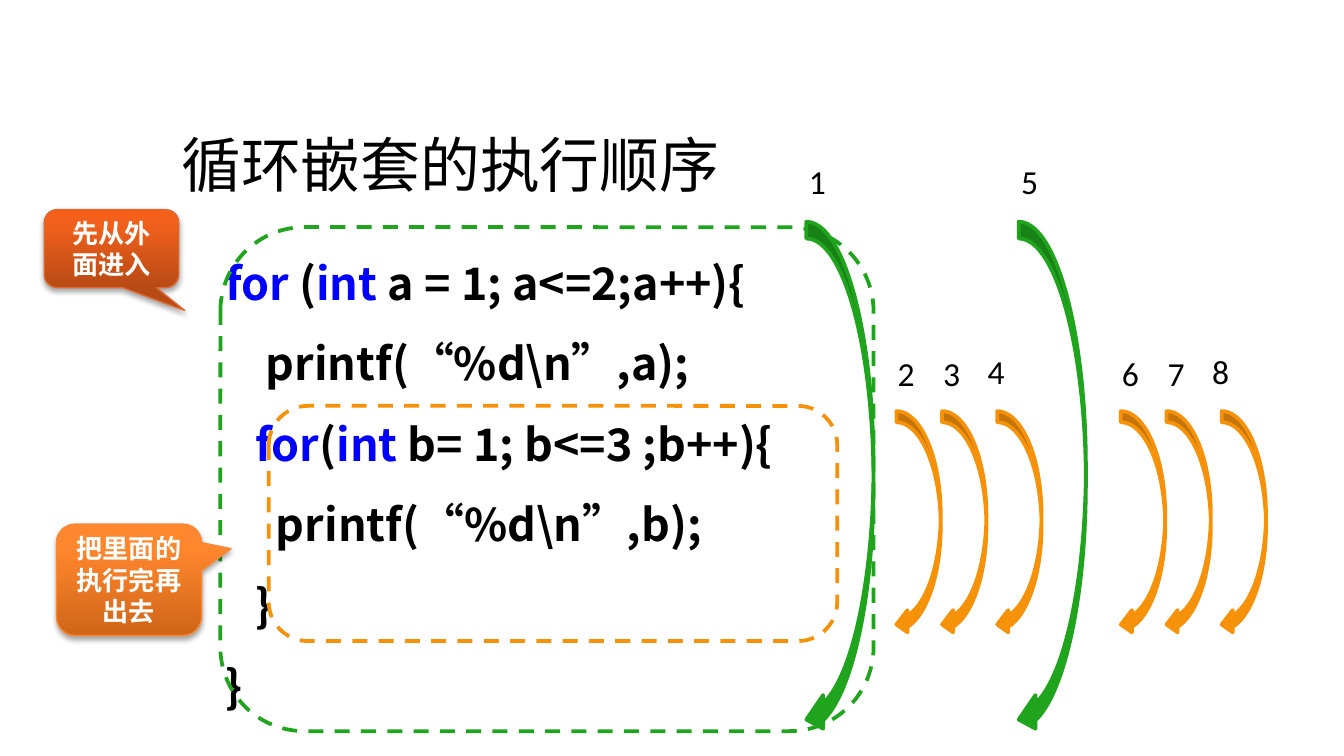
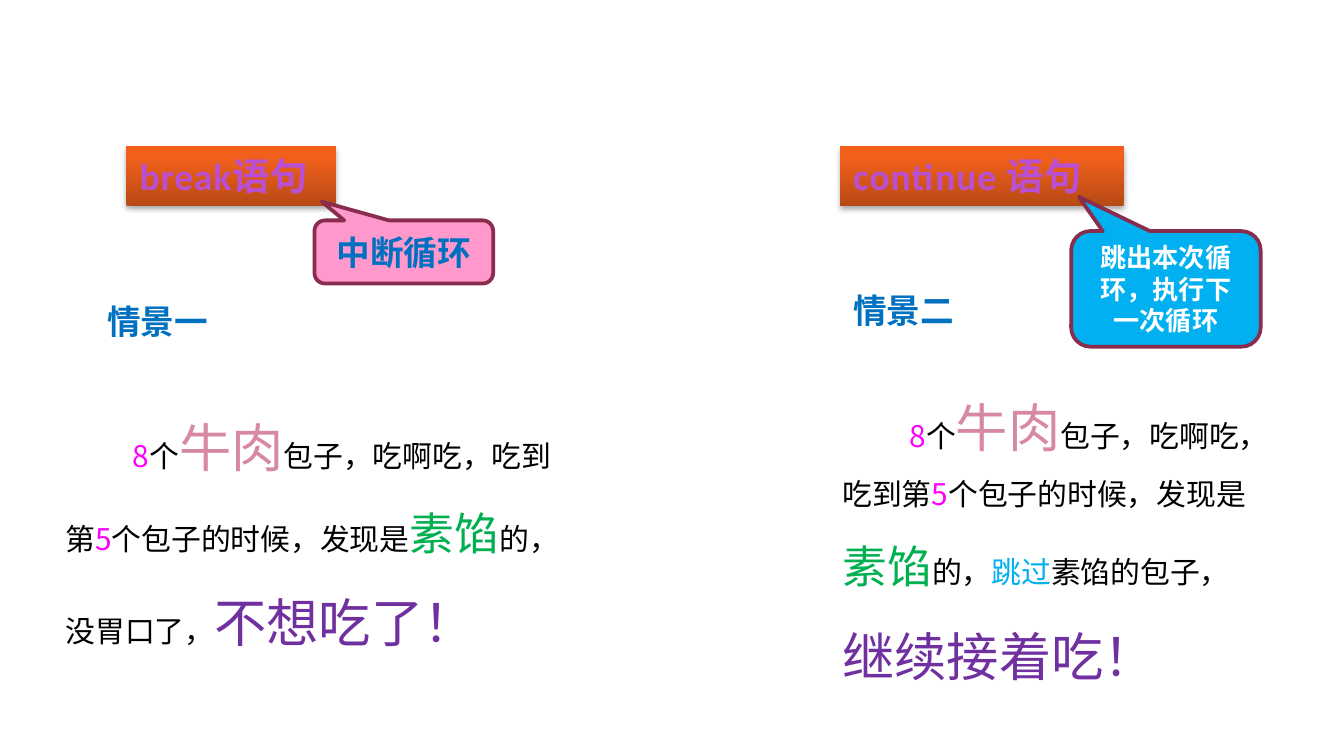
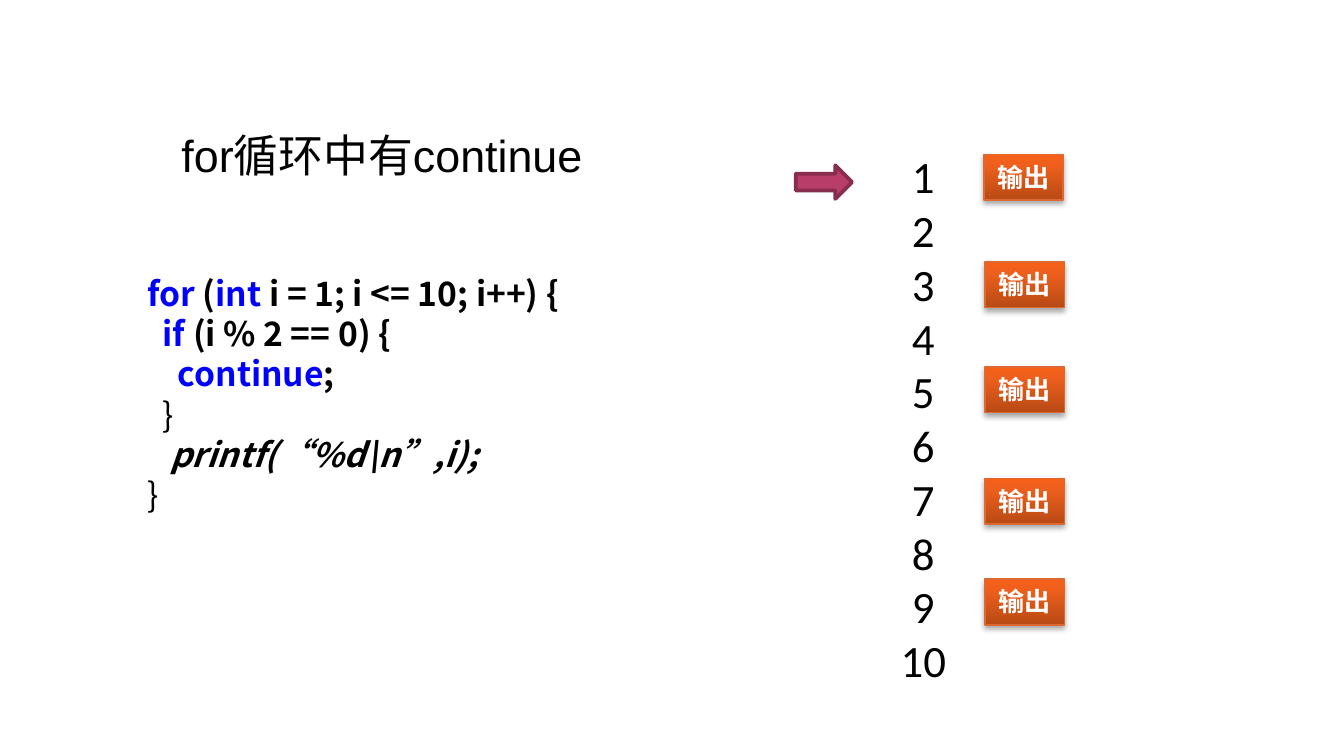
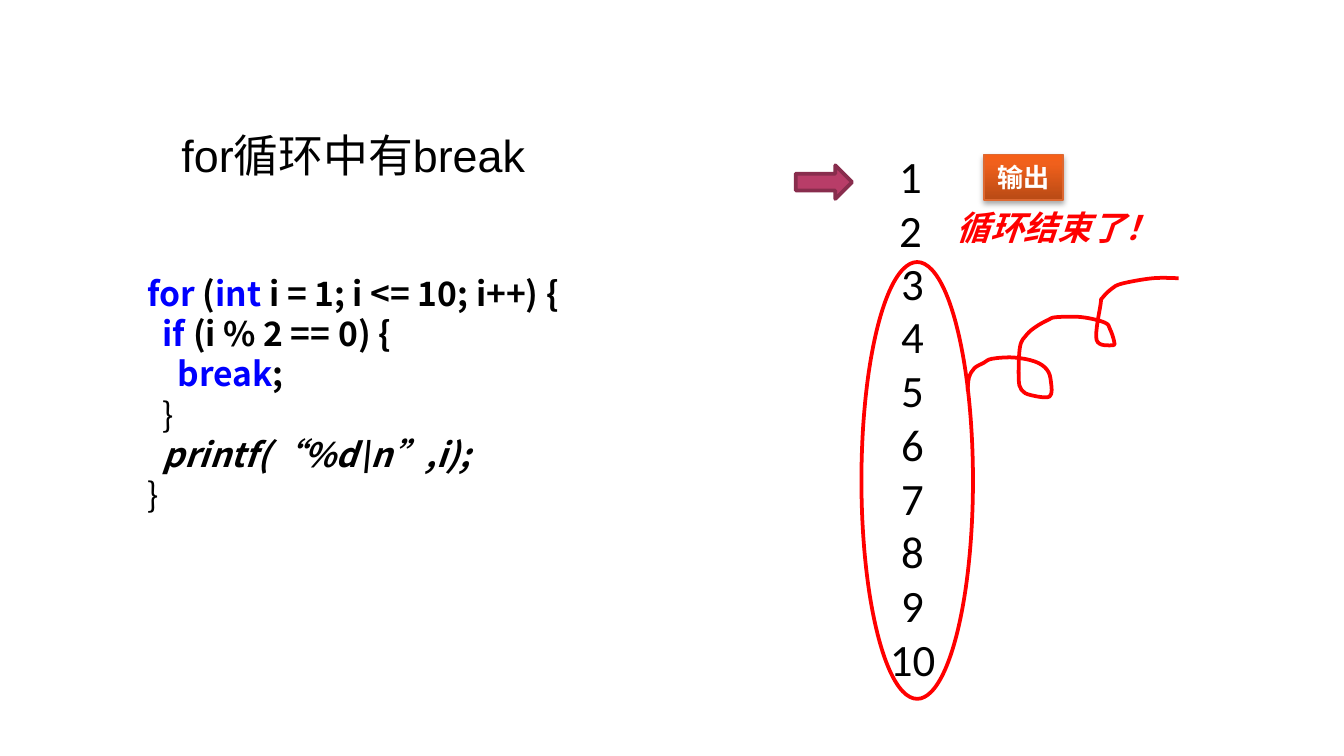
from copy import deepcopy

from lxml import etree
from pptx import Presentation
from pptx.dml.color import RGBColor
from pptx.enum.dml import MSO_LINE
from pptx.enum.shapes import MSO_SHAPE
from pptx.enum.text import MSO_ANCHOR, MSO_AUTO_SIZE, PP_ALIGN
from pptx.oxml.ns import qn
from pptx.util import Emu, Inches, Pt

# Slide grid: ten square columns across the slide
SLIDE_WIDTH, SLIDE_HEIGHT = Inches(10), Inches(5.625)
CELL = SLIDE_WIDTH // 10
TITLE_ONLY, BLANK = 5, 6

# Enum members
LEFT, CENTER = PP_ALIGN.LEFT, PP_ALIGN.CENTER
TOP, MIDDLE = MSO_ANCHOR.TOP, MSO_ANCHOR.MIDDLE
FIT_SHAPE, NO_FIT = MSO_AUTO_SIZE.SHAPE_TO_FIT_TEXT, MSO_AUTO_SIZE.NONE
DASH = MSO_LINE.DASH
RECTANGLE, ROUNDED = MSO_SHAPE.RECTANGLE, MSO_SHAPE.ROUNDED_RECTANGLE
CALLOUT = MSO_SHAPE.ROUNDED_RECTANGULAR_CALLOUT
LOOP_ARROW, RIGHT_ARROW = MSO_SHAPE.CURVED_LEFT_ARROW, MSO_SHAPE.RIGHT_ARROW
OVAL = MSO_SHAPE.OVAL

# Fonts
LATIN, TITLE_FONT = "Calibri", "Arial"
CJK, HEADING_FONT = "Noto Sans CJK SC", "Noto Sans CJK JP"

# Colours
BLACK = RGBColor(0x00, 0x00, 0x00)
WHITE = RGBColor(0xFF, 0xFF, 0xFF)
KEYWORD_BLUE = RGBColor(0x00, 0x00, 0xFF)
OUTER_GREEN = RGBColor(0x20, 0xA3, 0x1D)
INNER_ORANGE = RGBColor(0xF6, 0x91, 0x0A)
BADGE_EDGE = RGBColor(0xDD, 0x68, 0x31)
ORANGE_EDGE = RGBColor(0xF9, 0x89, 0x37)
HEADING_BLUE = RGBColor(0x00, 0x70, 0xC0)
SKY = RGBColor(0x00, 0xB0, 0xF0)
PINK = RGBColor(0xFF, 0x99, 0xCC)
MAGENTA = RGBColor(0xFF, 0x00, 0xFF)
BEEF = RGBColor(0xD7, 0x88, 0xA3)
VEGETABLE = RGBColor(0x00, 0xB0, 0x50)
PURPLE = RGBColor(0x70, 0x30, 0xA0)
POINTER = RGBColor(0xB8, 0x3D, 0x68)
WINE = RGBColor(0x88, 0x2D, 0x4D)
RED = RGBColor(0xFF, 0x00, 0x00)

# Gradients: (position in percent, colour) stops and a clockwise angle
RED_ORANGE = ([(0, RGBColor(0xB8, 0x4A, 0x15)), (80, RGBColor(0xF0, 0x60, 0x1C)),
               (100, RGBColor(0xF5, 0x5F, 0x18))], 270)
BRIGHT_ORANGE = ([(0, RGBColor(0xD0, 0x66, 0x18)), (80, RGBColor(0xFF, 0x87, 0x2E)),
                  (100, RGBColor(0xFF, 0x87, 0x30))], 270)
VIOLET = ([(25, RGBColor(0xBB, 0x4F, 0xD2)), (100, RGBColor(0x86, 0x35, 0x98))], 90)

# Span formats
KEYWORD = {"color": KEYWORD_BLUE}
COUNT = {"color": MAGENTA}
LARGE_BEEF = {"color": BEEF, "size": 28}
LARGE_VEGETABLE = {"color": VEGETABLE, "size": 24}
OUTCOME = {"color": PURPLE, "size": 28}
PLAIN = {"bold": False}
ITALIC = {"italic": True}


def grid(*lengths):
    return [Emu(round(length * CELL)) for length in lengths]


def paint(fill, paint_value):
    """Fill with nothing, a colour, or a (stops, angle) gradient."""
    if paint_value is None:
        fill.background()
    elif isinstance(paint_value, RGBColor):
        fill.solid()
        fill.fore_color.rgb = paint_value
    else:
        stops, angle = paint_value
        fill.gradient()
        fill.gradient_angle = 360 - angle
        first = fill.gradient_stops[0]._gs
        for _ in stops[2:]:
            first.addnext(deepcopy(first))
        for stop, (position, color) in zip(fill.gradient_stops, stops):
            stop.position = position / 100
            stop.color.rgb = color


def format_span(span, font=LATIN, size=18, color=BLACK, bold=False, italic=False, spacing=0):
    span.font.name = font
    span.font.size = Pt(size)
    span.font.bold, span.font.italic = bold, italic
    paint(span.font.fill, color)
    properties = span._r.get_or_add_rPr()
    if spacing:
        properties.set("spc", str(round(spacing * 100)))
    etree.SubElement(properties, qn("a:ea")).set("typeface", font)


def write(frame, paras, align=LEFT, anchor=TOP, wrap=True, fit=FIT_SHAPE,
          line_spacing=None, first_indent=0, margins=None, **style):
    """Write paragraphs, each a string or a list of (text, format) spans."""
    frame.word_wrap, frame.auto_size, frame.vertical_anchor = wrap, fit, anchor
    for index, spans in enumerate(paras):
        para = frame.paragraphs[0] if index == 0 else frame.add_paragraph()
        para.alignment = align
        if line_spacing:
            para.line_spacing = line_spacing
        properties = para._p.get_or_add_pPr()
        if first_indent:
            properties.set("indent", str(grid(first_indent)[0]))
        if margins:
            properties.set("marL", str(grid(margins[index])[0]))
        for text, changes in [(spans, {})] if isinstance(spans, str) else spans:
            span = para.add_run()
            span.text = text
            format_span(span, **{**style, **changes})


def add_text(page, place, paras, **style):
    box = page.shapes.add_textbox(*grid(*place))
    write(box.text_frame, paras, **style)


def add_title(page, text, **style):
    title = page.shapes.title
    title.left, title.top, title.width, title.height = grid(1.25, 0.9, 6.08, 0.67)
    write(title.text_frame, [text], fit=NO_FIT, **style)


def add_shadow(shape):
    effects = shape._element.spPr.find(qn("a:effectLst"))
    shadow = etree.SubElement(effects, qn("a:outerShdw"), blurRad=str(Pt(3.1)),
                              dist=str(Pt(1.8)), dir="5400000", rotWithShape="0")
    color = etree.SubElement(shadow, qn("a:srgbClr"), val=str(BLACK))
    etree.SubElement(color, qn("a:alpha"), val="35000")


def outline(shape, color, weight=2, dash=None):
    paint(shape.line.fill, color)
    if color is not None:
        shape.line.width = Pt(weight)
    if dash:
        shape.line.dash_style = dash


def add_shape(page, kind, place, fill=None, edge=None, weight=2, dash=None,
              shadow=False, adjustments=()):
    shape = page.shapes.add_shape(kind, *grid(*place))
    for index, value in enumerate(adjustments):
        shape.adjustments[index] = value
    paint(shape.fill, fill)
    outline(shape, edge, weight, dash)
    shape.shadow.inherit = False
    if shadow:
        add_shadow(shape)
    return shape


def add_callout(page, place, text, tip, fill, edge, color=WHITE, size=14, **look):
    shape = add_shape(page, CALLOUT, place, fill, edge, adjustments=(*tip, 0.167), **look)
    write(shape.text_frame, [text], align=CENTER, anchor=MIDDLE, fit=NO_FIT,
          size=size, color=color, bold=True)


def add_code(page, place, lines, size, **style):
    """Write code lines given as (indent in spaces, spans)."""
    space = size * 0.225 / 72
    add_text(page, place, [spans for _, spans in lines], wrap=False, font=CJK, size=size,
             bold=True, margins=[spaces * space for spaces, _ in lines], **style)


def add_step(page, number, arrow_place, label_left, label_top, color):
    add_shape(page, LOOP_ARROW, arrow_place, color, color)
    add_text(page, (label_left, label_top, 0.34, 0.4), [str(number)], wrap=False)


def add_numbers(page, place, first, last):
    add_text(page, place, [str(n) for n in range(first, last + 1)],
             align=CENTER, wrap=False, size=24)


def add_output_badge(page, top, left=7.33):
    badge = add_shape(page, RECTANGLE, (left, top, 0.59, 0.34), RED_ORANGE,
                      BADGE_EDGE, 0.75, shadow=True)
    write(badge.text_frame, ["输出"], wrap=False, font=CJK, size=14, color=WHITE, bold=True)


def add_statement_banner(page, place, text):
    banner = add_shape(page, RECTANGLE, place, RED_ORANGE, shadow=True)
    write(banner.text_frame, [text], size=20, color=VIOLET, bold=True, spacing=0.5)


def add_curve(page, knots, color):
    """Draw a smooth open line: each segment becomes one Bézier curve."""
    builder = page.shapes.build_freeform(*grid(*knots[0]))
    builder.add_line_segments([grid(*knot) for knot in knots[1:]], close=False)
    curve = builder.convert_to_shape()
    paint(curve.fill, None)
    outline(curve, color)
    curve.shadow.inherit = False

    nodes = list(curve._element.iter(qn("a:pt")))
    points = [(int(node.get("x")), int(node.get("y"))) for node in nodes]
    ends = [points[0], *points, points[-1]]
    for node, before, start, end, after in zip(nodes[1:], ends, ends[1:], ends[2:], ends[3:]):
        segment = node.getparent()
        bezier = etree.Element(qn("a:cubicBezTo"))
        leave = [s + (e - b) / 6 for b, s, e in zip(before, start, end)]
        arrive = [e - (a - s) / 6 for s, e, a in zip(start, end, after)]
        for x, y in (leave, arrive, end):
            etree.SubElement(bezier, qn("a:pt"), x=str(round(x)), y=str(round(y)))
        segment.getparent().replace(segment, bezier)


def add_loop_page(deck, title, statement, print_indent):
    """Title, loop code, pointer and first output shared by both loop pages."""
    page = deck.slides.add_slide(deck.slide_layouts[TITLE_ONLY])
    add_title(page, title, font=TITLE_FONT, size=24)
    add_shape(page, RIGHT_ARROW, (5.92, 1.23, 0.42, 0.25), POINTER, WINE)
    add_code(page, (1, 1.98, 4.17, 1.92), [
        (0, [("for", KEYWORD), (" (", {}), ("int", KEYWORD), (" i = 1; i <= 10; i++) {", {})]),
        (2, [("if", KEYWORD), (" (i % 2 == 0) {", {})]),
        (4, [(statement, KEYWORD), (";", {})]),
        (2, [("}", PLAIN)]),
        (print_indent, [("printf(“%d\\n”,i);", ITALIC)]),
        (0, [("}", PLAIN)]),
    ], size=18)
    add_output_badge(page, 1.15, left=7.32)
    return page


def build_nesting_page(deck):
    page = deck.slides.add_slide(deck.slide_layouts[TITLE_ONLY])
    add_title(page, "循环嵌套的执行顺序", size=32)
    add_code(page, (1.58, 1.65, 4.92, 3.74), [
        (0, [("for", KEYWORD), (" (", {}), ("int", KEYWORD), (" a = 1; a<=2;a++){", {})]),
        (4, "printf(“%d\\n”,a);"),
        (3, [("for", KEYWORD), ("(", {}), ("int ", KEYWORD), ("b= 1; b<=3 ;b++){", {})]),
        (5, "printf(“%d\\n”,b);"),
        (3, "}"),
        (0, "}"),
    ], size=24, line_spacing=1.5)

    # Frames of the outer and inner loop
    add_shape(page, ROUNDED, (1.64, 1.69, 4.86, 3.75), edge=OUTER_GREEN, dash=DASH)
    add_shape(page, ROUNDED, (2, 3.02, 4.23, 1.75), edge=INNER_ORANGE, dash=DASH)

    # Each outer pass is followed by three inner ones
    inner_steps = [(6.67, 6.58, 2.58), (7.01, 6.92, 2.58), (7.42, 7.25, 2.56)]
    for turn in range(2):
        number = 1 + 4 * turn
        outer, inner = 1.58 * turn, 1.67 * turn
        add_step(page, number, (6 + outer, 1.65, 0.5, 3.83), 5.92 + outer, 1.15, OUTER_GREEN)
        for offset, (arrow, label, top) in enumerate(inner_steps, 1):
            add_step(page, number + offset, (arrow + inner, 3.06, 0.33, 1.67),
                     label + inner, top, INNER_ORANGE)

    add_callout(page, (0.33, 1.56, 1, 0.58), "先从外面进入", (0.545, 0.794),
                RED_ORANGE, BADGE_EDGE, weight=0.75, shadow=True)
    add_callout(page, (0.42, 3.9, 1.08, 0.83), "把里面的执行完再出去", (0.703, -0.279),
                BRIGHT_ORANGE, ORANGE_EDGE, weight=0.75, shadow=True)


def build_scenarios_page(deck):
    page = deck.slides.add_slide(deck.slide_layouts[BLANK])
    story = [("8", COUNT), ("个", {}), ("牛肉", LARGE_BEEF), ("包子，吃啊吃，吃到第", {}),
             ("5", COUNT), ("个包子的时候，发现是", {}), ("素馅", LARGE_VEGETABLE)]
    give_up = [("的，没胃口了，", {}), ("不想吃了！", OUTCOME)]
    skip = [("的，", {}), ("跳过", {"color": SKY}), ("素馅的包子，", {}),
            ("继续接着吃！", OUTCOME)]
    scenarios = [
        ("break语句", (0.94, 1.09, 1.56, 0.44), "情景一", (0.7, 2.19, 1.56, 0.4),
         give_up, (0.39, 2.81, 3.83, 2.12)),
        ("continue 语句", (6.25, 1.09, 2.11, 0.44), "情景二", (6.25, 2.11, 1.56, 0.4),
         skip, (6.17, 2.66, 3.22, 2.47)),
    ]
    for banner, banner_place, heading, heading_place, ending, story_place in scenarios:
        add_statement_banner(page, banner_place, banner)
        add_text(page, heading_place, [heading], font=HEADING_FONT,
                 color=HEADING_BLUE, bold=True)
        add_text(page, story_place, [story + ending], font=CJK, size=16,
                 line_spacing=1.5, first_indent=0.5)

    tip = (-0.459, -0.797)
    add_callout(page, (2.34, 1.64, 1.33, 0.47), "中断循环", tip, PINK, WINE,
                color=HEADING_BLUE, size=18)
    add_callout(page, (7.97, 1.72, 1.41, 0.86), "跳出本次循环，执行下一次循环", tip, SKY, WINE)


def build_continue_page(deck):
    page = add_loop_page(deck, "for循环中有continue", "continue", 3)
    add_numbers(page, (6.58, 1.06, 0.58, 4.14), 1, 10)
    for top in (1.95, 2.73, 3.56, 4.31):
        add_output_badge(page, top)


def build_break_page(deck):
    page = add_loop_page(deck, "for循环中有break", "break", 2)
    add_numbers(page, (6.58, 1.06, 0.39, 0.91), 1, 2)
    add_numbers(page, (6.5, 1.85, 0.58, 3.33), 3, 10)

    # Ring around the numbers never reached, with its curly tail
    add_curve(page, [
        (7.2, 2.91), (7.21, 2.81), (7.25, 2.74), (7.32, 2.7), (7.38, 2.67), (7.54, 2.66),
        (7.7, 2.69), (7.79, 2.75), (7.82, 2.84), (7.81, 2.95), (7.67, 2.94), (7.6, 2.9),
        (7.58, 2.81), (7.59, 2.58), (7.64, 2.49), (7.71, 2.43), (7.8, 2.38), (7.86, 2.36),
        (8.05, 2.36), (8.22, 2.4), (8.26, 2.45), (8.29, 2.54), (8.28, 2.57), (8.16, 2.53),
        (8.19, 2.26), (8.2, 2.22), (8.27, 2.15), (8.35, 2.11), (8.58, 2.07), (8.77, 2.07),
    ], RED)
    add_shape(page, OVAL, (6.41, 1.95, 0.83, 3.25), edge=RED)
    add_text(page, (7.02, 1.49, 1.72, 0.4), ["循环结束了！"], wrap=False, font=CJK,
             color=RED, bold=True, italic=True)


def main():
    deck = Presentation()
    deck.slide_width, deck.slide_height = SLIDE_WIDTH, SLIDE_HEIGHT
    build_nesting_page(deck)
    build_scenarios_page(deck)
    build_continue_page(deck)
    build_break_page(deck)
    deck.save("out.pptx")


if __name__ == "__main__":
    main()
